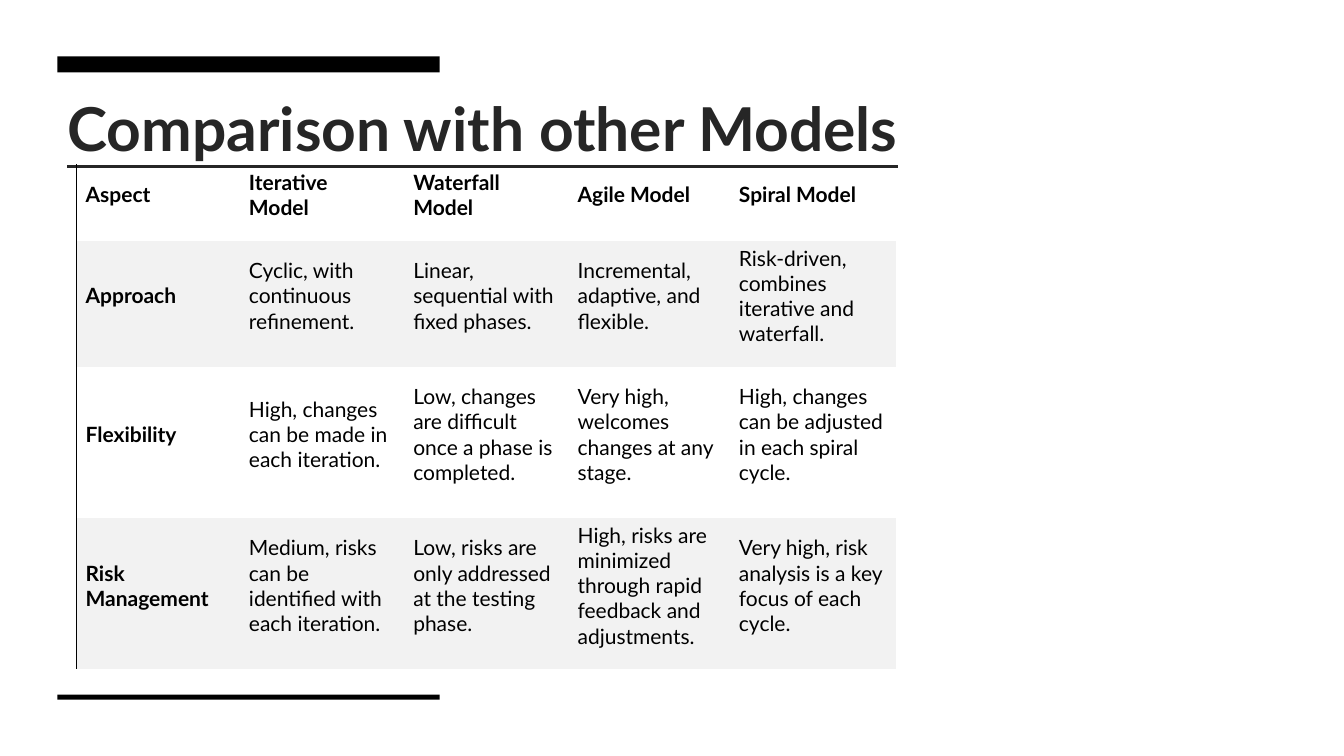
from dataclasses import dataclass

from lxml.etree import SubElement
from pptx import Presentation
from pptx.dml.color import RGBColor
from pptx.enum.shapes import MSO_SHAPE
from pptx.enum.text import MSO_ANCHOR
from pptx.oxml.ns import qn
from pptx.util import Inches, Pt


@dataclass(frozen=True)
class Theme:
    font: str = "Lato"
    paper: str = "FFFFFF"
    ink: str = "000000"
    head: str = "262626"
    band: str = "F2F2F2"
    title: float = 43.2
    body: float = 15
    rule: float = 0.75


THEME = Theme()
PLAIN = "{2D5ABB26-0587-4C30-8999-92F81FD0307C}"  # No Style, No Grid
COLS = [1.62, 1.63, 1.63, 1.6, 1.65]
ROWS = [0.76, 1.25, 1.5, 1.5]
CELLS = [
    ["Aspect", "Iterative Model", "Waterfall Model", "Agile Model",
     "Spiral Model"],
    ["Approach", "Cyclic, with continuous refinement.",
     "Linear, sequential with fixed phases.",
     "Incremental, adaptive, and flexible.",
     "Risk-driven, combines iterative and waterfall."],
    ["Flexibility", "High, changes can be made in each iteration.",
     "Low, changes are difficult once a phase is completed.",
     "Very high, welcomes changes at any stage.",
     "High, changes can be adjusted in each spiral cycle."],
    ["Risk Management", "Medium, risks can be identified with each iteration.",
     "Low, risks are only addressed at the testing phase.",
     "High, risks are minimized through rapid feedback and adjustments.",
     "Very high, risk analysis is a key focus of each cycle."],
]


def assign(item, values):
    for name, value in values.items():
        setattr(item, name, value)


def write(frame, text, size, color, **style):
    run = frame.paragraphs[0].add_run()
    run.text = text
    assign(run.font, {"name": THEME.font, "size": Pt(size), **style})
    run.font.color.rgb = RGBColor.from_string(color)


def add_bar(slide, box, color):
    bar = slide.shapes.add_shape(MSO_SHAPE.RECTANGLE, *map(Inches, box))
    bar.shadow.inherit = False
    bar.fill.solid()
    bar.fill.fore_color.rgb = RGBColor.from_string(color)
    bar.line.fill.background()


def add_title(slide, box, text):
    frame = slide.shapes.add_textbox(*map(Inches, box)).text_frame
    assign(frame, {
        "word_wrap": True,
        "vertical_anchor": MSO_ANCHOR.BOTTOM,
        "margin_top": 0,
        "margin_bottom": Inches(0.02),
    })
    write(frame, text, THEME.title, THEME.head, bold=True, underline=True)


def rule_left(cell):
    """Draw the left border of a cell."""
    props = cell._tc.get_or_add_tcPr()
    line = SubElement(props, qn("a:lnL"), w=str(Pt(THEME.rule)))
    fill = SubElement(line, qn("a:solidFill"))
    SubElement(fill, qn("a:srgbClr"), val=THEME.ink)
    props.insert(0, line)


def fill_cell(cell, text, bold, banded):
    assign(cell, {
        "vertical_anchor": MSO_ANCHOR.MIDDLE,
        "margin_left": Inches(0.09),
        "margin_top": Inches(0.03),
        "margin_right": Inches(0.13),
        "margin_bottom": Inches(0.19),
    })
    if banded:
        cell.fill.solid()
        cell.fill.fore_color.rgb = RGBColor.from_string(THEME.band)
    else:
        cell.fill.background()
    write(cell.text_frame, text, THEME.body, THEME.ink, bold=bold)


def add_grid(slide, left, top):
    box = (left, top, sum(COLS), sum(ROWS))
    frame = slide.shapes.add_table(len(ROWS), len(COLS), *map(Inches, box))
    for style in frame.element.iter(qn("a:tableStyleId")):
        style.text = PLAIN
    table = frame.table
    assign(table, {"first_row": False, "horz_banding": False})
    for col, width in zip(table.columns, COLS):
        col.width = Inches(width)
    for r, (row, height) in enumerate(zip(table.rows, ROWS)):
        row.height = Inches(height)
        for c, cell in enumerate(row.cells):
            fill_cell(cell, CELLS[r][c], r == 0 or c == 0, r % 2 == 1)
        rule_left(row.cells[0])


def main():
    deck = Presentation()
    assign(deck, {"slide_width": Inches(13.33), "slide_height": Inches(7.5)})
    slide = deck.slides.add_slide(deck.slide_layouts[6])
    add_bar(slide, (0, 0, 13.33, 7.5), THEME.paper)
    add_title(slide, (0.57, 0.83, 10.15, 0.81), "Comparison with other Models")
    for top, height in ((0.56, 0.16), (6.89, 0.05)):
        add_bar(slide, (0.57, top, 3.79, height), THEME.ink)
    add_grid(slide, 0.76, 1.63)
    deck.save("out.pptx")


if __name__ == "__main__":
    main()
